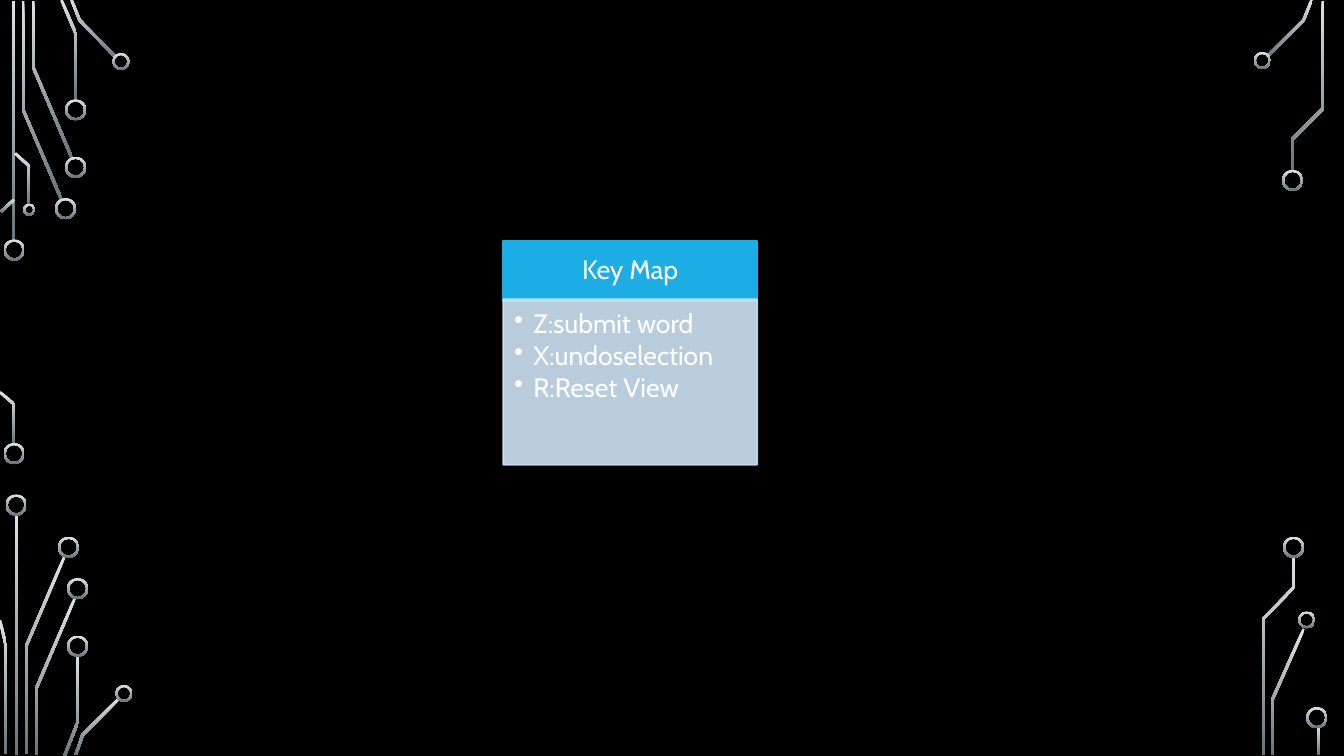
"""Build the key map slide framed by circuit traces."""
from math import hypot
from lxml.etree import SubElement as Sub
from pptx import Presentation
from pptx.dml.color import RGBColor as RGB
from pptx.enum.shapes import MSO_SHAPE as Shape
from pptx.enum.text import MSO_ANCHOR as Anchor, PP_ALIGN as Align
from pptx.oxml.ns import qn
from pptx.util import Inches, Pt

THEME = {
    "font": "Cabin", "size": 19, "outline": 1.25,
    "back": "000000", "text": "FFFFFF", "header": "1CADE4", "body": "CDE3F5",
    "body_alpha": 90, "trace_top": "DFE3E5", "trace_bottom": "65757D",
}
TITLE = "Key Map"
KEYS = ["Z:submit word", "X:undoselection", "R:Reset View"]
HEADER_BOX = (4.99, 2.39, 2.52, 0.6)
BODY_BOX = (4.99, 2.97, 2.52, 1.64)
TRACE_WIDTH = 0.026
RING_WIDTH = 0.02

STEMS = [(0.12, 0.01, 0.03, 2.39), (0.15, 5.1, 0.03, 2.39), (13.06, 7.21, 0.03, 0.28)]
TRACES = [
    [(0.61, 1.98), (0.23, 1.09), (0.23, 0.01)],
    [(0.71, 1.56), (0.33, 0.67), (0.33, 0.01)],
    [(0.75, 1), (0.75, 0.33), (0.61, 0)],
    [(1.15, 0.57), (0.79, 0.2), (0.71, 0)],
    [(0.01, 2.1), (0.14, 1.98)],
    [(0.14, 4.41), (0.14, 4.01), (0, 3.89)],
    [(0.29, 2.03), (0.29, 1.65), (0.15, 1.52)],
    [(0.26, 7.48), (0.26, 6.41), (0.64, 5.52)],
    [(0.06, 7.48), (0.06, 6.41), (0, 6.15)],
    [(0.36, 7.49), (0.36, 6.83), (0.74, 5.94)],
    [(0.64, 7.5), (0.77, 7.17), (0.77, 6.5)],
    [(0.75, 7.49), (0.82, 7.29), (1.18, 6.93)],
    [(12.57, 0.56), (12.93, 0.2), (13.01, 0)],
    [(12.62, 7.49), (12.62, 6.94), (12.93, 6.24)],
    [(12.82, 1.69), (12.82, 1.38), (13.12, 1.08), (13.12, 0.01)],
    [(12.53, 7.49), (12.53, 6.14), (12.83, 5.83), (12.83, 5.52)],
]
RINGS = {
    0.21: [(0.14, 2.48), (0.14, 4.5), (0.65, 2.07), (0.75, 1.66), (0.75, 1.09),
           (0.16, 5.01), (0.68, 5.43), (0.77, 5.84), (0.77, 6.41),
           (12.82, 1.79), (12.83, 5.43), (13.06, 7.12)],
    0.17: [(1.2, 0.61), (1.23, 6.88), (12.52, 0.6), (12.96, 6.15)],
    0.12: [(0.29, 2.08)],
}


def rgb(name):
    return RGB.from_string(THEME[name])


def style_trace(sp):
    sp.shadow.inherit = False
    sp.line.fill.background()
    sp.fill.gradient()
    sp.fill.gradient_angle = 270
    for stop, name, pos in zip(sp.fill.gradient_stops, ("trace_top", "trace_bottom"), (0, 1)):
        stop.color.rgb = rgb(name)
        stop.position = pos


def ribbon(points, width):
    normals = []
    for (x0, y0), (x1, y1) in zip(points, points[1:]):
        length = hypot(x1 - x0, y1 - y0)
        normals.append(((y0 - y1) / length, (x1 - x0) / length))
    left, right = [], []
    for (x, y), (ax, ay), (bx, by) in zip(points, normals[:1] + normals, normals + normals[-1:]):
        reach = width / 2 / (1 + ax * bx + ay * by)
        dx, dy = (ax + bx) * reach, (ay + by) * reach
        left.append((Inches(x + dx), Inches(y + dy)))
        right.append((Inches(x - dx), Inches(y - dy)))
    return left + right[::-1]


def add_preset(shapes, kind, box):
    return shapes.add_shape(kind, *map(Inches, box))


def add_circuit(shapes):
    for box in STEMS:
        style_trace(add_preset(shapes, Shape.RECTANGLE, box))
    for points in TRACES:
        start, *rest = ribbon(points, TRACE_WIDTH)
        builder = shapes.build_freeform(*start)
        builder.add_line_segments(rest, close=True)
        style_trace(builder.convert_to_shape())
    for size, centres in RINGS.items():
        for x, y in centres:
            sp = add_preset(shapes, Shape.DONUT, (x - size / 2, y - size / 2, size, size))
            sp.adjustments[0] = RING_WIDTH / size
            style_trace(sp)


def add_panel(shapes, box, color, lines, insets, anchor, align):
    sp = add_preset(shapes, Shape.RECTANGLE, box)
    sp.shadow.inherit = False
    sp.fill.solid()
    sp.fill.fore_color.rgb = sp.line.color.rgb = rgb(color)
    sp.line.width = Pt(THEME["outline"])
    tf = sp.text_frame
    tf.word_wrap = True
    tf.vertical_anchor = anchor
    tf.margin_left, tf.margin_top, tf.margin_right, tf.margin_bottom = map(Inches, insets)
    for i, line in enumerate(lines):
        p = tf.paragraphs[0] if i == 0 else tf.add_paragraph()
        p.alignment = align
        p.line_spacing = 0.9
        r = p.add_run()
        r.text = line
        r.font.name = THEME["font"]
        r.font.size = Pt(THEME["size"])
        r.font.color.rgb = rgb("text")
    return sp


def add_bullets(sp):
    for p in sp.text_frame.paragraphs:
        p.space_after = Pt(2.4)
        pPr = p._p.get_or_add_pPr()
        pPr.set("marL", str(Inches(0.19)))
        pPr.set("indent", str(-Inches(0.19)))
        Sub(pPr, qn("a:buChar")).set("char", "•")


def set_alpha(sp, percent):
    for clr in sp._element.spPr.iter(qn("a:srgbClr")):
        Sub(clr, qn("a:alpha")).set("val", str(percent * 1000))


def main():
    prs = Presentation()
    prs.slide_width, prs.slide_height = Inches(13.33), Inches(7.5)
    s = prs.slides.add_slide(prs.slide_layouts[6])
    s.background.fill.solid()
    s.background.fill.fore_color.rgb = rgb("back")
    add_circuit(s.shapes)
    add_panel(s.shapes, HEADER_BOX, "header", [TITLE],
              (0.15, 0.08, 0.15, 0.08), Anchor.MIDDLE, Align.CENTER)
    body = add_panel(s.shapes, BODY_BOX, "body", KEYS,
                     (0.11, 0.11, 0.15, 0.17), Anchor.TOP, Align.LEFT)
    add_bullets(body)
    set_alpha(body, THEME["body_alpha"])
    prs.save("out.pptx")


if __name__ == "__main__":
    main()
